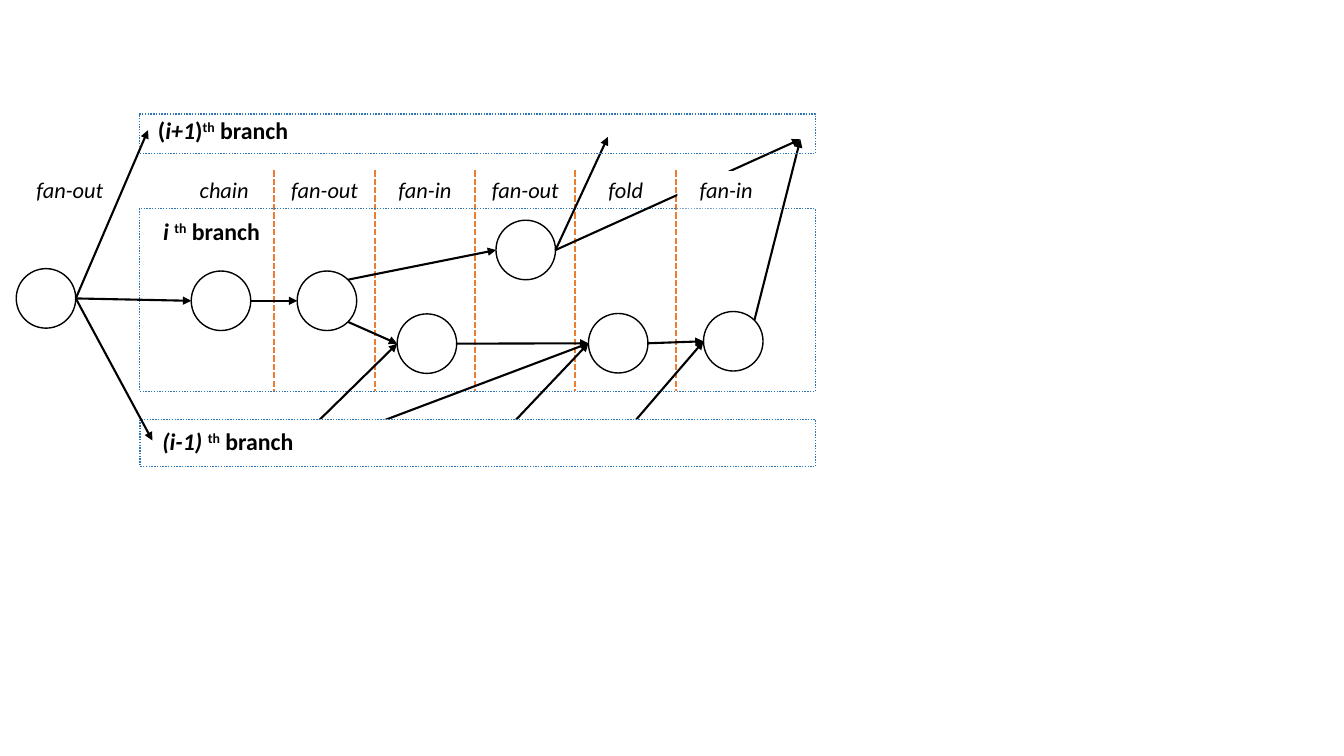
from dataclasses import dataclass
from pptx import Presentation
from pptx.dml.color import RGBColor
from pptx.enum import dml, shapes, text
from pptx.oxml.ns import qn
from pptx.util import Cm, Pt
from lxml import etree


@dataclass(frozen=True)
class Theme:
    ink: RGBColor = RGBColor(0, 0, 0)
    paper: RGBColor = RGBColor(0xFF, 0xFF, 0xFF)
    frame: RGBColor = RGBColor(0x2E, 0x75, 0xB6)
    split: RGBColor = RGBColor(0xED, 0x7D, 0x31)
    font: str = "Calibri"
    label: int = 16
    title: int = 17
    thin: float = 1
    bold: float = 1.5


THEME = Theme()
DASH = dml.MSO_LINE
KIND = shapes.MSO_SHAPE

# Lengths in cm
RADIUS = 0.75
STEP = 2.53
NODES = {
    "root": (1.16, 7.52), "chain": (5.57, 7.58), "split": (8.24, 7.58),
    "top": (13.25, 6.3), "join": (10.76, 8.66), "fold": (15.58, 8.65),
    "last": (18.48, 8.6),
}
SIDES = {"left": (-1, 0), "right": (1, 0), "upper": (0.71, -0.71), "lower": (0.71, 0.71)}
STAGES = ["chain", "fan-out", "fan-in", "fan-out", "fold", "fan-in"]


def port(name, side):
    x, y = NODES[name]
    dx, dy = SIDES[side]
    return x + dx * RADIUS, y + dy * RADIUS


def add_line(slide, start, end, color=THEME.ink, dash=None, arrow=True):
    ends = [Cm(v) for v in (*start, *end)]
    line = slide.shapes.add_connector(shapes.MSO_CONNECTOR.STRAIGHT, *ends)
    line.line.color.rgb = color
    line.line.width = Pt(THEME.bold)
    if dash:
        line.line.dash_style = dash
    props = line._element.spPr
    if arrow:
        etree.SubElement(props.find(qn("a:ln")), qn("a:tailEnd"), type="triangle")
    etree.SubElement(props, qn("a:effectLst"))


def add_form(slide, kind, area, color, fill=True, dash=None):
    form = slide.shapes.add_shape(kind, *[Cm(v) for v in area])
    form.shadow.inherit = False
    if fill:
        form.fill.solid()
        form.fill.fore_color.rgb = THEME.paper
    else:
        form.fill.background()
    form.line.color.rgb = color
    form.line.width = Pt(THEME.thin)
    if dash:
        form.line.dash_style = dash


def add_frame(slide, area, fill=False):
    add_form(slide, KIND.RECTANGLE, area, THEME.frame, fill, DASH.ROUND_DOT)


def set_font(run, size, bold=False, italic=False):
    font = run.font
    font.name, font.size = THEME.font, Pt(size)
    font.bold, font.italic = bold, italic
    font.color.rgb = THEME.ink


def add_label(slide, word, left, fill=False):
    box = slide.shapes.add_textbox(Cm(left), Cm(4.31), Cm(2.46), Cm(0.94))
    if fill:
        box.fill.solid()
        box.fill.fore_color.rgb = THEME.paper
    box.text_frame.word_wrap = True
    box.text_frame.text = word
    para = box.text_frame.paragraphs[0]
    para.alignment = text.PP_ALIGN.CENTER
    set_font(para.runs[0], THEME.label, italic=True)


def add_title(slide, area, parts):
    """Each part is a word and whether it is italic; 'th' is raised."""
    box = slide.shapes.add_textbox(*[Cm(v) for v in area])
    box.text_frame.word_wrap = False
    para = box.text_frame.paragraphs[0]
    for word, slant in parts:
        run = para.add_run()
        run.text = word
        set_font(run, THEME.title, bold=True, italic=slant)
        if word == "th":
            run._r.get_or_add_rPr().set("baseline", "30000")


def main():
    deck = Presentation()
    deck.slide_width, deck.slide_height = Cm(33.87), Cm(19.05)
    slide = deck.slides.add_slide(deck.slide_layouts[6])
    tail = [("th", False), (" branch", False)]

    # Stage dividers and middle branch
    for i in range(len(STAGES) - 1):
        x = 6.91 + i * STEP
        add_line(slide, (x, 4.29), (x, 9.85), THEME.split, DASH.SQUARE_DOT, False)
    add_frame(slide, (3.51, 5.26, 17.04, 4.6))
    add_title(slide, (3.86, 5.33, 3.02, 0.99), [("i ", True)] + tail)

    # Nodes
    for x, y in NODES.values():
        area = (x - RADIUS, y - RADIUS, 2 * RADIUS, 2 * RADIUS)
        add_form(slide, KIND.OVAL, area, THEME.ink)

    # Arrows between nodes
    for start, side, end in [
        ("root", "right", "chain"), ("chain", "right", "split"),
        ("split", "upper", "top"), ("split", "lower", "join"),
        ("join", "right", "fold"), ("fold", "right", "last"),
    ]:
        add_line(slide, port(start, side), port(end, "left"))

    # Arrows from the lower branch
    for start, end in [
        ((7.44, 11.18), "join"), ((7.72, 11.33), "fold"),
        ((12.29, 11.33), "fold"), ((15.82, 10.82), "last"),
    ]:
        add_line(slide, start, port(end, "left"))

    # Arrows to the upper branch
    meet = (20.17, 3.51)
    add_line(slide, port("top", "right"), meet)
    add_line(slide, port("top", "right"), (15.32, 3.45))
    add_line(slide, port("last", "upper"), meet)

    # Outer branches
    add_frame(slide, (3.51, 2.87, 17.04, 1))
    add_title(slide, (3.73, 2.79, 3.86, 0.99),
              [("(", False), ("i+1", True), (")", False)] + tail)
    add_frame(slide, (3.53, 10.57, 17.02, 1.19), fill=True)
    add_title(slide, (3.84, 10.62, 3.89, 0.99), [("(i-1) ", True)] + tail)

    # Fan-out from the root
    for end in [(3.84, 11.1), (3.73, 3.28)]:
        add_line(slide, port("root", "right"), end)

    # Stage labels; the last one masks the arrow behind it
    add_label(slide, "fan-out", 0.53)
    for i, word in enumerate(STAGES):
        add_label(slide, word, 4.42 + i * STEP, fill=i == len(STAGES) - 1)

    deck.save("out.pptx")


main()
